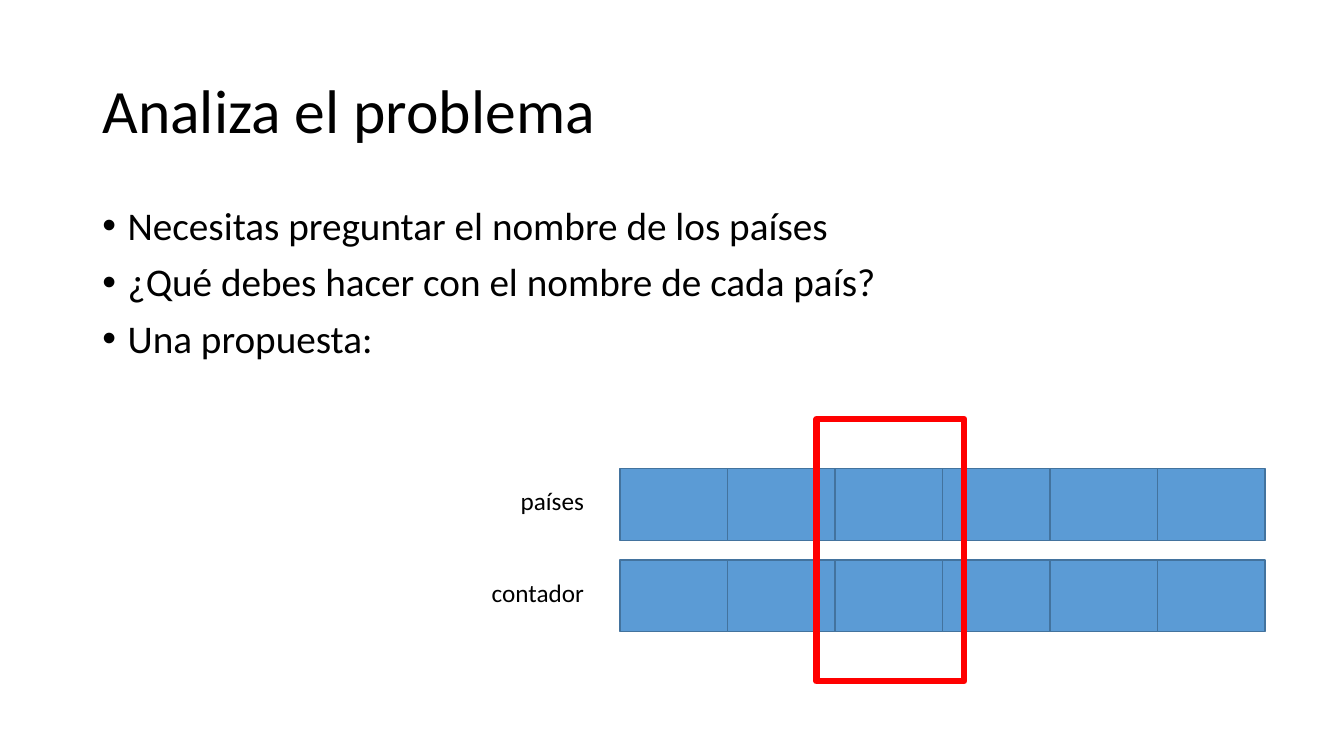
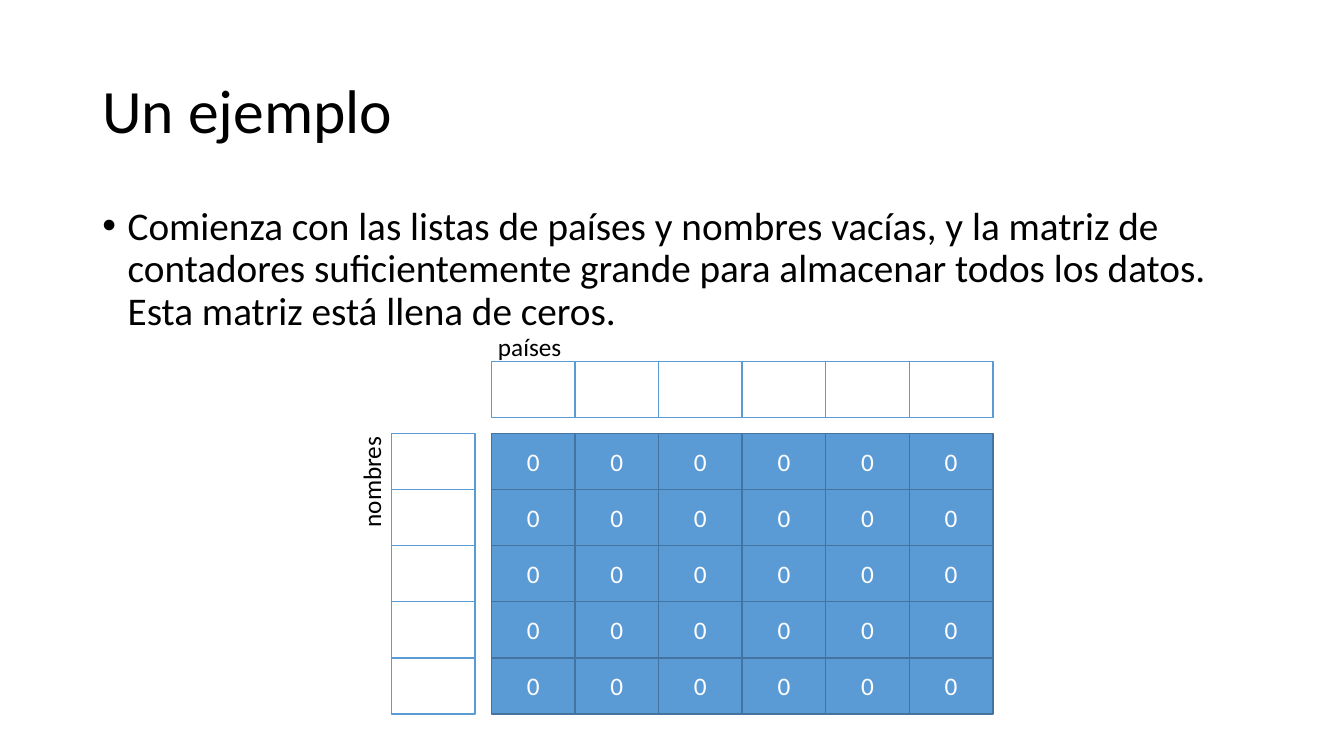
from dataclasses import dataclass

from lxml.etree import SubElement
from pptx import Presentation
from pptx.dml.color import RGBColor
from pptx.enum.shapes import MSO_SHAPE
from pptx.enum.text import MSO_ANCHOR as Anchor
from pptx.enum.text import MSO_AUTO_SIZE as AutoSize
from pptx.enum.text import PP_ALIGN as Align
from pptx.oxml.ns import qn
from pptx.util import Emu, Inches, Pt

COLORS = {
    "text": "000000",
    "white": "FFFFFF",
    "cell": "5B9BD5",
    "edge": "43739E",
    "highlight": "FF0000",
}
FONT = "Calibri"
TITLE_SIZE, BODY_SIZE, LABEL_SIZE = 44, 28, 18
SLIDE_WIDTH, SLIDE_HEIGHT = Inches(13.33), Inches(7.5)
COLUMNS, ROWS = 160, 90


@dataclass(frozen=True)
class Box:
    column: float
    row: float
    columns: float
    rows: float

    def lengths(self):
        return (
            Emu(round(self.column * SLIDE_WIDTH / COLUMNS)),
            Emu(round(self.row * SLIDE_HEIGHT / ROWS)),
            Emu(round(self.columns * SLIDE_WIDTH / COLUMNS)),
            Emu(round(self.rows * SLIDE_HEIGHT / ROWS)),
        )


@dataclass(frozen=True)
class CellGrid:
    first: Box
    across: int = 1
    down: int = 1
    fill: str = "cell"
    line: str = "edge"
    text: str = ""


@dataclass(frozen=True)
class Label:
    text: str
    box: Box
    align: Align = Align.RIGHT
    rotation: float = 0


TITLE_BOX = Box(11, 4.8, 138, 17.4)
BODY_BOX = Box(11, 24, 138, 57.1)

LIST_LEFT, LIST_TOP, LIST_STEP = 73.8, 55.8, 10.85
LIST_NAMES = ("países", "contador")
HIGHLIGHT_BOX = Box(97.2, 49.9, 17.6, 31.2)

MATRIX_LEFT, MATRIX_TOP = 58.5, 51.6
CELL_COLUMNS, CELL_ROWS = 9.95, 6.68
MATRIX_ACROSS, MATRIX_DOWN = 6, 5


def color(name: str) -> RGBColor:
    return RGBColor.from_string(COLORS[name])


def add_text(paragraph, text: str, size: float, color_name: str = "text") -> None:
    run = paragraph.add_run()
    run.text = text
    run.font.name = FONT
    run.font.size = Pt(size)
    run.font.color.rgb = color(color_name)


def place(shape, box: Box) -> None:
    shape.left, shape.top, shape.width, shape.height = box.lengths()


def add_bullet(paragraph) -> None:
    properties = paragraph._p.get_or_add_pPr()
    properties.set("marL", str(Inches(0.25)))
    properties.set("indent", str(-Inches(0.25)))
    SubElement(properties, qn("a:buFont")).set("typeface", "Arial")
    SubElement(properties, qn("a:buChar")).set("char", "•")


def add_content_slide(presentation, title: str, items: list[str]):
    slide = presentation.slides.add_slide(presentation.slide_layouts[1])
    heading, body = slide.shapes.title, slide.placeholders[1]
    for placeholder, box in ((heading, TITLE_BOX), (body, BODY_BOX)):
        place(placeholder, box)
        placeholder.text_frame.auto_size = AutoSize.NONE
    heading.text_frame.vertical_anchor = Anchor.MIDDLE
    paragraph = heading.text_frame.paragraphs[0]
    paragraph.alignment = Align.LEFT
    paragraph.line_spacing = 0.9
    add_text(paragraph, title, TITLE_SIZE)
    frame = body.text_frame
    for index, item in enumerate(items):
        paragraph = frame.add_paragraph() if index else frame.paragraphs[0]
        paragraph.line_spacing = 0.9
        paragraph.space_before = Pt(10)
        add_bullet(paragraph)
        add_text(paragraph, item, BODY_SIZE)
    return slide


def add_rectangle(shapes, box: Box, fill: str, line: str, line_width: float = 1):
    rectangle = shapes.add_shape(MSO_SHAPE.RECTANGLE, *box.lengths())
    rectangle.shadow.inherit = False
    if fill:
        rectangle.fill.solid()
        rectangle.fill.fore_color.rgb = color(fill)
    else:
        rectangle.fill.background()
    rectangle.line.color.rgb = color(line)
    rectangle.line.width = Pt(line_width)
    return rectangle


def add_grid(slide, grid: CellGrid) -> None:
    group = slide.shapes.add_group_shape()
    first = grid.first
    for row in range(grid.down):
        for column in range(grid.across):
            box = Box(
                first.column + column * first.columns,
                first.row + row * first.rows,
                first.columns,
                first.rows,
            )
            cell = add_rectangle(group.shapes, box, grid.fill, grid.line)
            if grid.text:
                cell.text_frame.vertical_anchor = Anchor.MIDDLE
                paragraph = cell.text_frame.paragraphs[0]
                paragraph.alignment = Align.CENTER
                add_text(paragraph, grid.text, LABEL_SIZE, "white")


def add_label(slide, label: Label) -> None:
    text_box = slide.shapes.add_textbox(*label.box.lengths())
    text_box.rotation = label.rotation
    text_box.text_frame.word_wrap = True
    paragraph = text_box.text_frame.paragraphs[0]
    paragraph.alignment = label.align
    add_text(paragraph, label.text, LABEL_SIZE)


def build_analysis(presentation) -> None:
    slide = add_content_slide(
        presentation,
        "Analiza el problema",
        [
            "Necesitas preguntar el nombre de los países",
            "¿Qué debes hacer con el nombre de cada país?",
            "Una propuesta:",
        ],
    )
    for index, name in enumerate(LIST_NAMES):
        top = LIST_TOP + index * LIST_STEP
        add_grid(slide, CellGrid(Box(LIST_LEFT, top, 12.8, 8.55), across=6))
        add_label(slide, Label(name, Box(37.9, top + 1.44, 32.8, 4.9)))
    add_rectangle(slide.shapes, HIGHLIGHT_BOX, "", "highlight", 4.5)


def build_example(presentation) -> None:
    slide = add_content_slide(
        presentation,
        "Un ejemplo",
        [
            "Comienza con las listas de países y nombres vacías, y la matriz de "
            "contadores suficientemente grande para almacenar todos los datos. "
            "Esta matriz está llena de ceros."
        ],
    )
    countries = Box(MATRIX_LEFT, 43.05, CELL_COLUMNS, CELL_ROWS)
    names = Box(46.6, MATRIX_TOP, CELL_COLUMNS, CELL_ROWS)
    counters = Box(MATRIX_LEFT, MATRIX_TOP, CELL_COLUMNS, CELL_ROWS)
    for grid in (
        CellGrid(countries, across=MATRIX_ACROSS, fill="white", line="cell"),
        CellGrid(counters, MATRIX_ACROSS, MATRIX_DOWN, text="0"),
        CellGrid(names, down=MATRIX_DOWN, fill="white", line="cell"),
    ):
        add_grid(slide, grid)
    for label in (
        Label("países", Box(58.1, 38.8, 25.4, 3.8), Align.LEFT),
        Label("nombres", Box(30.8, 61.8, 25.8, 3.8), rotation=270),
    ):
        add_label(slide, label)


def main() -> None:
    presentation = Presentation()
    presentation.slide_width = SLIDE_WIDTH
    presentation.slide_height = SLIDE_HEIGHT
    build_analysis(presentation)
    build_example(presentation)
    presentation.save("out.pptx")


if __name__ == "__main__":
    main()
